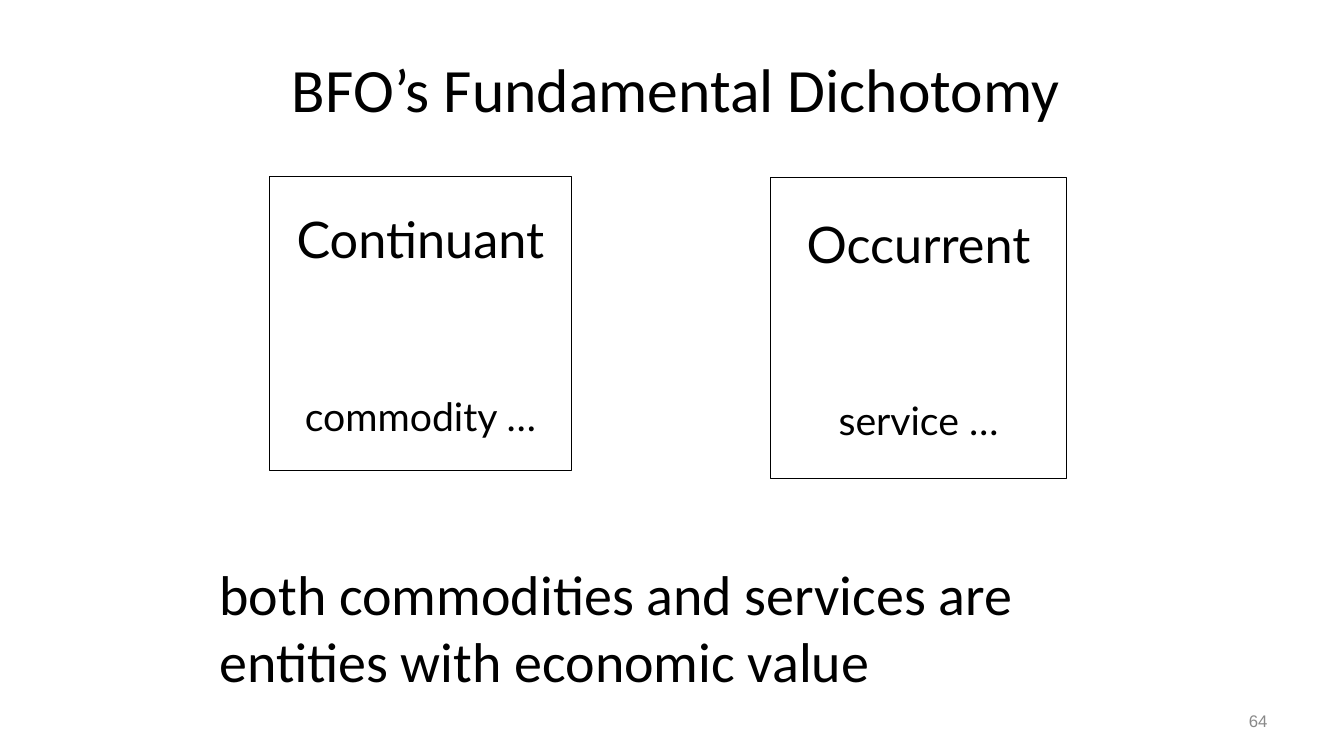
from dataclasses import dataclass

from pptx import Presentation
from pptx.dml.color import RGBColor
from pptx.enum.shapes import MSO_SHAPE as Form
from pptx.enum.text import MSO_ANCHOR as Anchor, MSO_AUTO_SIZE as Fit, PP_ALIGN as Align
from pptx.slide import Slide
from pptx.text.text import TextFrame
from pptx.util import Inches, Pt

BLACK = RGBColor(0x00, 0x00, 0x00)
GRAY = RGBColor(0x89, 0x89, 0x89)


@dataclass
class Box:
    left: float
    top: float
    width: float
    height: float

    def place(self) -> tuple:
        return tuple(map(Inches, (self.left, self.top, self.width, self.height)))


@dataclass
class Kind:
    name: str
    case: str
    box: Box


KINDS = [
    Kind("Continuant", "commodity …", Box(2.67, 1.75, 3, 2.92)),
    Kind("Occurrent", "service …", Box(7.64, 1.76, 2.94, 2.99)),
]


def write(frame: TextFrame, text: str, *, size: float, font: str = "Calibri",
          color: RGBColor = BLACK, align: Align = Align.LEFT,
          anchor: Anchor = Anchor.MIDDLE, wrap: bool = True,
          before: float = 0) -> None:
    frame.auto_size = Fit.NONE
    frame.word_wrap = wrap
    frame.vertical_anchor = anchor
    para = frame.add_paragraph() if frame.text else frame.paragraphs[0]
    para.alignment = align
    if before:
        para.space_before = Pt(before)
    run = para.add_run()
    run.text = text
    run.font.size = Pt(size)
    run.font.name = font
    run.font.color.rgb = color


def draw(slide: Slide, kind: Kind) -> None:
    shape = slide.shapes.add_shape(Form.RECTANGLE, *kind.box.place())
    shape.shadow.inherit = False
    shape.fill.background()
    shape.line.color.rgb = BLACK
    shape.line.width = Pt(0.75)
    style = dict(font="Lato", align=Align.CENTER, wrap=False)
    write(shape.text_frame, kind.name, size=36, **style)
    write(shape.text_frame, kind.case, size=28, before=88, **style)


def label(slide: Slide, box: Box) -> TextFrame:
    return slide.shapes.add_textbox(*box.place()).text_frame


def main() -> None:
    deck = Presentation()
    deck.slide_width, deck.slide_height = Inches(13.33), Inches(7.5)
    slide = deck.slides.add_slide(deck.slide_layouts[5])

    title = slide.shapes.title
    title.left, title.top, title.width, title.height = Box(2.08, 0.25, 9.25, 1.25).place()
    write(title.text_frame, "BFO’s Fundamental Dichotomy", size=44, align=Align.CENTER)

    for kind in KINDS:
        draw(slide, kind)

    write(label(slide, Box(2.08, 5.5, 9.58, 1.45)),
          "both commodities and services are entities with economic value",
          size=40, anchor=Anchor.TOP)
    write(label(slide, Box(9.56, 6.95, 3.11, 0.4)), "64",
          size=12, font="Arial", color=GRAY, align=Align.RIGHT)
    deck.save("out.pptx")


if __name__ == "__main__":
    main()
